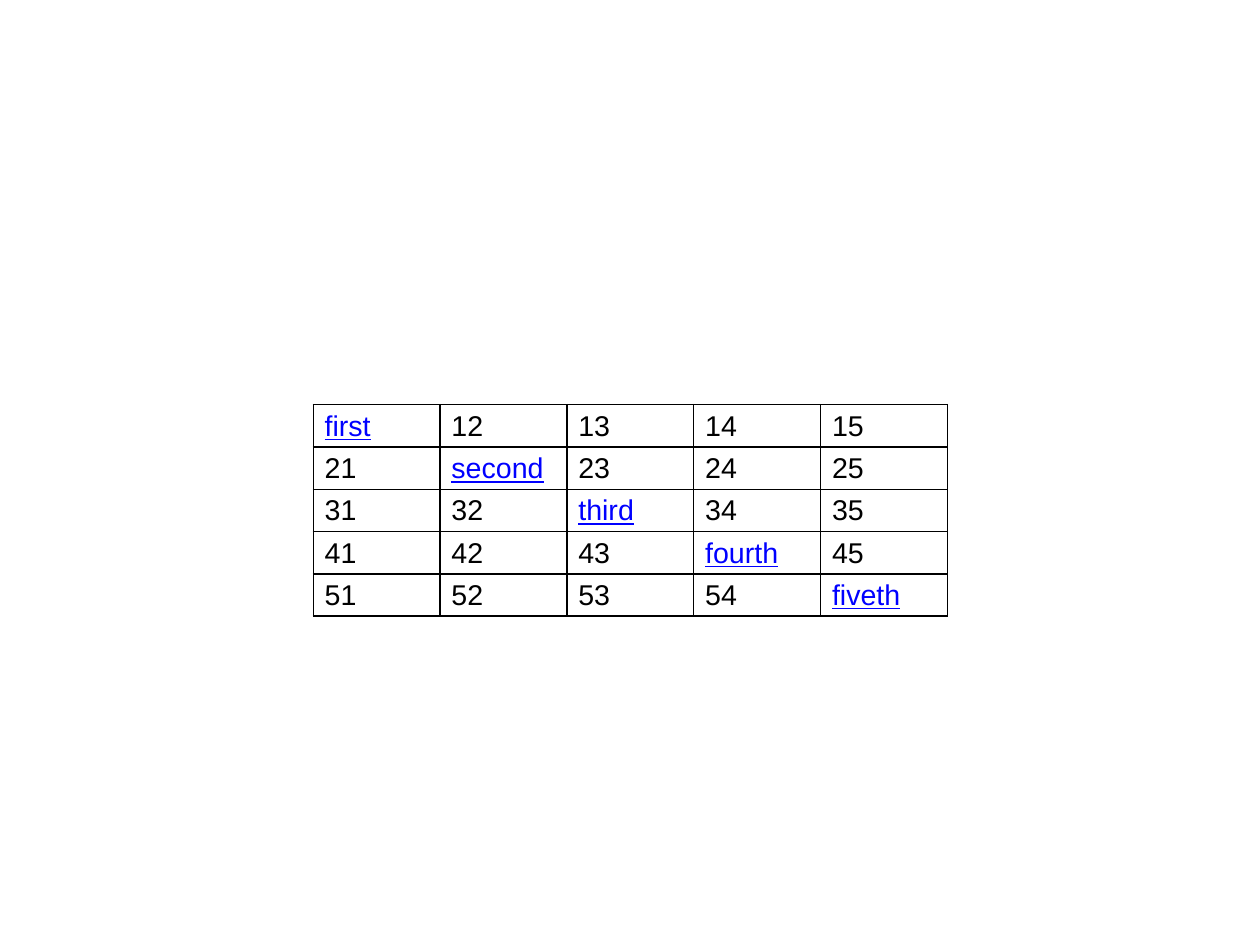
from typing import NamedTuple

from lxml.etree import SubElement
from pptx import Presentation
from pptx.dml.color import RGBColor
from pptx.oxml.ns import qn
from pptx.util import Cm, Inches, Pt

BLACK = RGBColor(0x00, 0x00, 0x00)
BLUE = RGBColor(0x00, 0x00, 0xFF)
WHITE = RGBColor(0xFF, 0xFF, 0xFF)

DIAGONAL_WORDS = ("first", "second", "third", "fourth", "fiveth")
SIZE = len(DIAGONAL_WORDS)
COLUMN_WIDTH = Inches(1.11)
ROW_HEIGHT = Inches(0.37)


class Entry(NamedTuple):
    """Text and look of one table cell."""

    text: str
    color: RGBColor
    underline: bool


def entry_at(row: int, column: int) -> Entry:
    """Return an underlined word on the diagonal, else the cell's number."""
    if row == column:
        return Entry(DIAGONAL_WORDS[row], BLUE, True)
    return Entry(f"{row + 1}{column + 1}", BLACK, False)


def add_borders(cell) -> None:
    """Draw a thin black line on all four sides of a cell."""
    properties = cell._tc.get_or_add_tcPr()
    for side in ("lnL", "lnR", "lnT", "lnB"):
        line = SubElement(properties, qn(f"a:{side}"), w=str(Pt(1)))
        fill = SubElement(line, qn("a:solidFill"))
        SubElement(fill, qn("a:srgbClr"), val=str(BLACK))


def fill_cell(cell, entry: Entry) -> None:
    """Write an entry into a cell and format it."""
    cell.margin_left = cell.margin_right = Inches(0.1)
    cell.margin_top, cell.margin_bottom = Inches(0.05), Inches(0.04)
    add_borders(cell)
    cell.fill.solid()
    cell.fill.fore_color.rgb = WHITE
    cell.text_frame.text = entry.text
    font = cell.text_frame.paragraphs[0].runs[0].font
    font.name, font.size, font.bold = "Arial", Pt(18), False
    font.color.rgb = entry.color
    font.underline = entry.underline


def add_number_table(page) -> None:
    """Add the square table of numbers with words on its diagonal."""
    table = page.shapes.add_table(
        SIZE, SIZE, Inches(2.74), Inches(3.54),
        COLUMN_WIDTH * SIZE, ROW_HEIGHT * SIZE,
    ).table
    table.first_row = table.horz_banding = False
    for row in range(SIZE):
        for column in range(SIZE):
            fill_cell(table.cell(row, column), entry_at(row, column))


def main() -> None:
    """Build and save the deck."""
    deck = Presentation()
    deck.slide_width = Cm(28)
    deck.slide_height = Cm(21)
    page = deck.slides.add_slide(deck.slide_layouts.get_by_name("Blank"))
    add_number_table(page)
    deck.save("out.pptx")


main()
